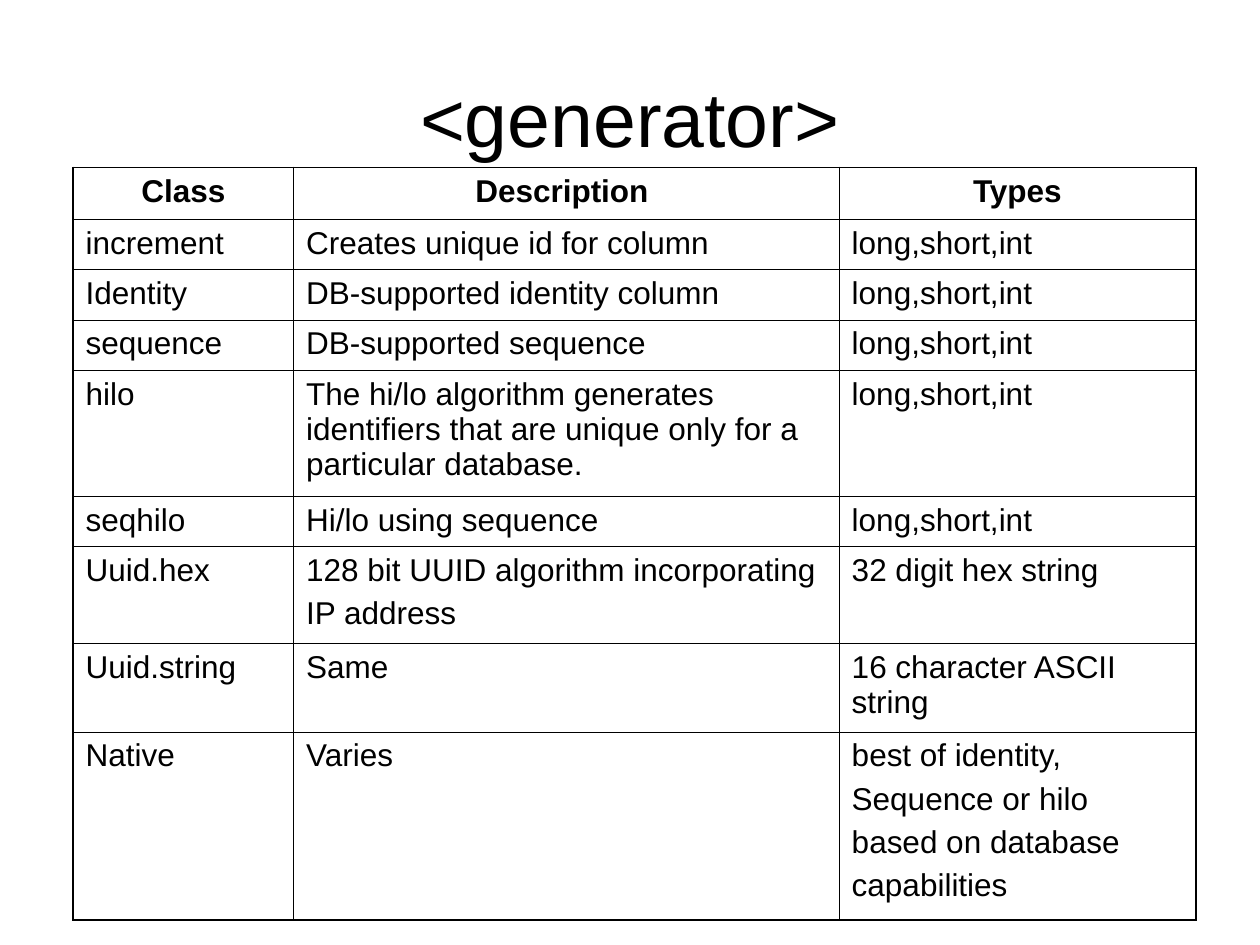
from lxml.etree import SubElement
from pptx import Presentation
from pptx.dml.color import RGBColor
from pptx.enum.text import MSO_ANCHOR, PP_ALIGN
from pptx.oxml.ns import qn
from pptx.util import Inches, Pt

COLORS = {"text": "000000", "border": "000000"}
FONT = "Arial"
THIN, THICK = Pt(0.45), Pt(1.08)
NUMERIC_TYPES = "long,short,int"
COLUMN_WIDTHS = [1.75, 4.33, 2.83]
ROWS = [
    (0.41, ["Class", "Description ", "Types"]),
    (0.4, ["increment", "Creates unique id for column", NUMERIC_TYPES]),
    (0.4, ["Identity", "DB-supported identity column", NUMERIC_TYPES]),
    (0.4, ["sequence", "DB-supported sequence", NUMERIC_TYPES]),
    (1, ["hilo", "The hi/lo algorithm generates identifiers that are unique "
         "only for a particular database.", NUMERIC_TYPES]),
    (0.4, ["seqhilo", "Hi/lo using sequence", NUMERIC_TYPES]),
    (0.77, ["Uuid.hex", "128 bit UUID algorithm incorporating\nIP address",
            "32 digit hex string"]),
    (0.7, ["Uuid.string", "Same", "16 character ASCII string"]),
    (1.49, ["Native", "Varies", "best of identity,\nSequence or hilo\n"
            "based on database\ncapabilities"]),
]


def format_paragraph(paragraph, size, bold, alignment):
    paragraph.alignment = alignment
    for name, value in {"name": FONT, "size": Pt(size), "bold": bold}.items():
        setattr(paragraph.font, name, value)
    paragraph.font.color.rgb = RGBColor.from_string(COLORS["text"])


def add_title(slide, text, left, top, width, height):
    title = slide.shapes.title
    box = {"left": left, "top": top, "width": width, "height": height}
    for name, value in box.items():
        setattr(title, name, Inches(value))
    title.text_frame.text = text
    title.text_frame.vertical_anchor = MSO_ANCHOR.MIDDLE
    format_paragraph(title.text_frame.paragraphs[0], 44, False, PP_ALIGN.CENTER)


def set_borders(cell, widths):
    properties = cell._tc.get_or_add_tcPr()
    for index, (side, width) in enumerate(widths.items()):
        line = SubElement(properties, qn(f"a:ln{side}"), w=str(width))
        fill = SubElement(line, qn("a:solidFill"))
        SubElement(fill, qn("a:srgbClr"), val=COLORS["border"])
        properties.insert(index, line)


def fill_cell(cell, text, is_header):
    cell.fill.background()
    cell.vertical_anchor = MSO_ANCHOR.TOP
    cell.text_frame.text = text
    alignment = PP_ALIGN.CENTER if is_header else PP_ALIGN.LEFT
    for index, paragraph in enumerate(cell.text_frame.paragraphs):
        if index:
            paragraph.space_before = Pt(4.5)
        format_paragraph(paragraph, 18, is_header, alignment)


def add_generator_table(slide, left, top, width, height):
    frame = slide.shapes.add_table(
        len(ROWS), len(COLUMN_WIDTHS),
        Inches(left), Inches(top), Inches(width), Inches(height))
    table = frame.table
    table.first_row = False
    table.horz_banding = False
    for column, column_width in zip(table.columns, COLUMN_WIDTHS):
        column.width = Inches(column_width)
    last_row, last_column = len(ROWS) - 1, len(COLUMN_WIDTHS) - 1
    for row, (row_height, texts) in enumerate(ROWS):
        table.rows[row].height = Inches(row_height)
        for column, text in enumerate(texts):
            cell = table.cell(row, column)
            fill_cell(cell, text, row == 0)
            set_borders(cell, {
                "L": THICK if column == 0 else THIN,
                "R": THICK if column == last_column else THIN,
                "T": THICK if row == 0 else THIN,
                "B": THICK if row == last_row else THIN,
            })


def main():
    presentation = Presentation()
    presentation.slide_width = Inches(10)
    presentation.slide_height = Inches(7.5)
    slide = presentation.slides.add_slide(presentation.slide_layouts[5])
    add_title(slide, "<generator>", 0.5, 0.3, 9, 1.25)
    add_generator_table(slide, 0.58, 1.33, sum(COLUMN_WIDTHS),
                        sum(row_height for row_height, _ in ROWS))
    presentation.save("out.pptx")


if __name__ == "__main__":
    main()
